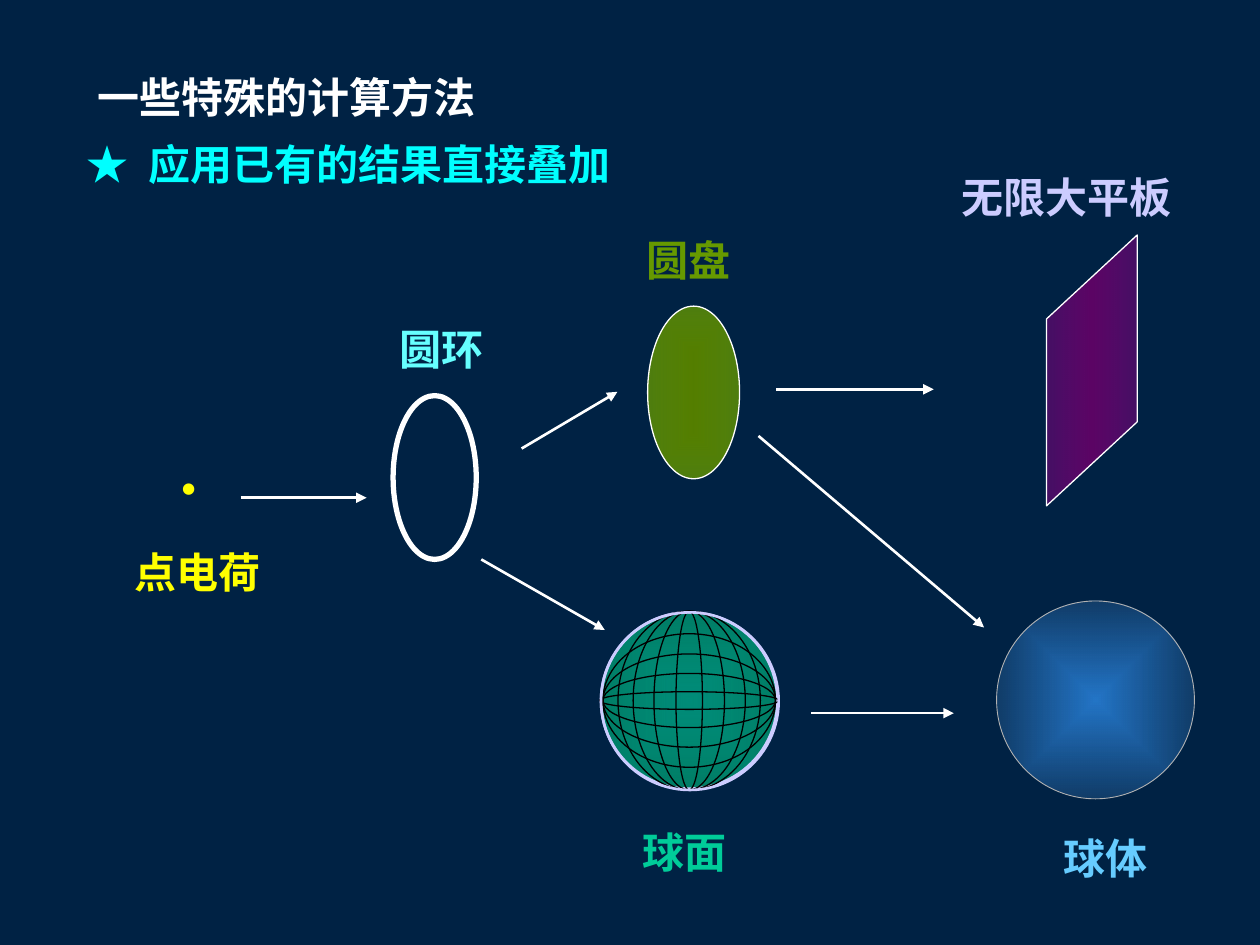
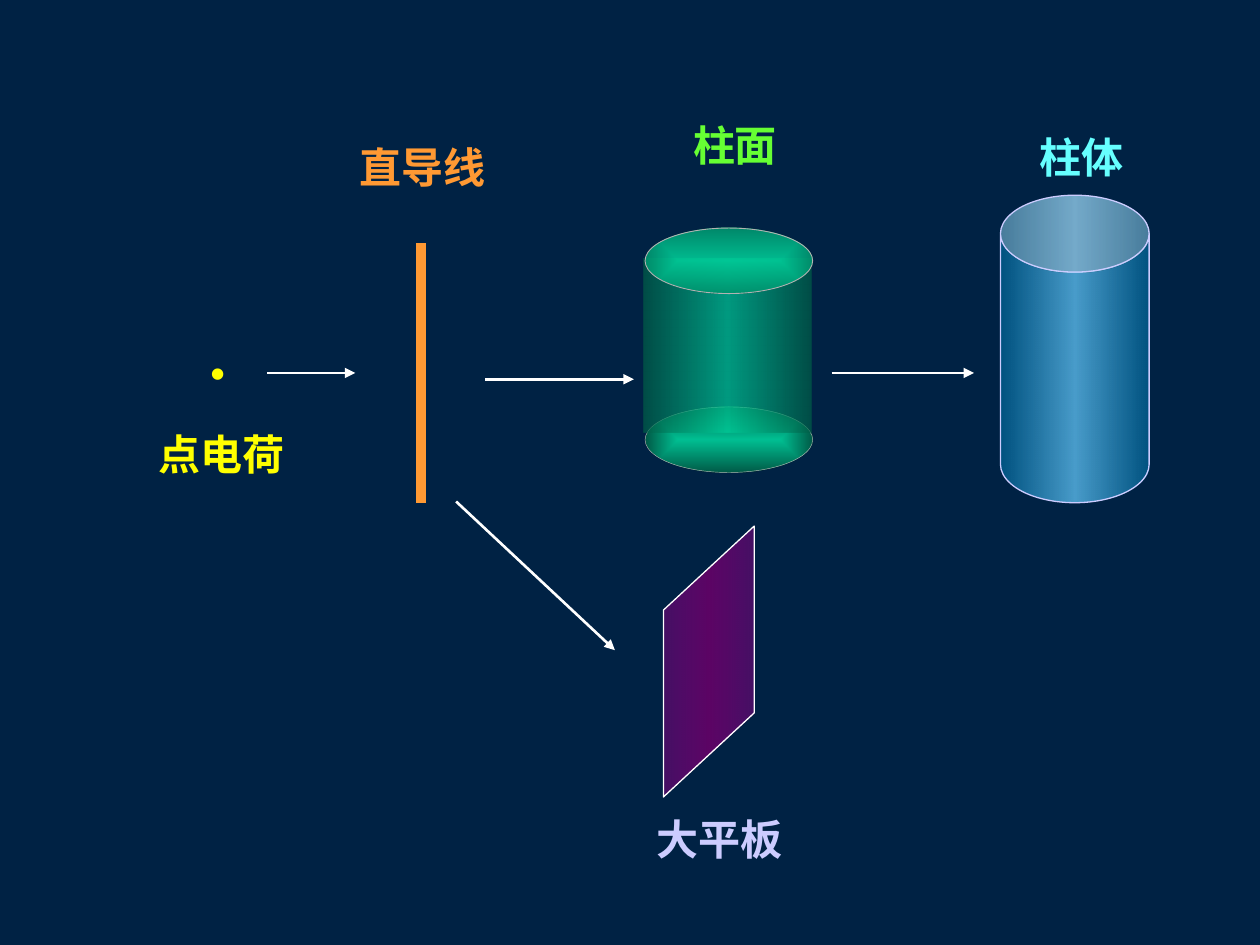
from pptx import Presentation
from pptx.dml.color import RGBColor
from pptx.enum.shapes import MSO_CONNECTOR, MSO_SHAPE
from pptx.enum.text import MSO_ANCHOR, PP_ALIGN
from pptx.oxml import parse_xml
from pptx.oxml.ns import nsdecls, qn
from pptx.util import Inches, Pt

ELLIPSE = MSO_SHAPE.OVAL
RECTANGLE = MSO_SHAPE.RECTANGLE
PARALLELOGRAM = MSO_SHAPE.PARALLELOGRAM
CAN = MSO_SHAPE.CAN
STRAIGHT = MSO_CONNECTOR.STRAIGHT
TOP = MSO_ANCHOR.TOP
LEFT = PP_ALIGN.LEFT

NAVY = RGBColor(0x00, 0x22, 0x44)
WHITE = RGBColor(0xFF, 0xFF, 0xFF)
BLACK = RGBColor(0x00, 0x00, 0x00)
GRAY = RGBColor(0xB2, 0xB2, 0xB2)
YELLOW = RGBColor(0xFF, 0xFF, 0x00)
ORANGE = RGBColor(0xFF, 0x99, 0x33)
CYAN = RGBColor(0x00, 0xFF, 0xFF)
PALE_CYAN = RGBColor(0x66, 0xFF, 0xFF)
SKY = RGBColor(0x66, 0xCC, 0xFF)
LAVENDER = RGBColor(0xCC, 0xCC, 0xFF)
LIME = RGBColor(0x66, 0xFF, 0x33)
OLIVE = RGBColor(0x66, 0x99, 0x00)
DARK_OLIVE = RGBColor(0x55, 0x7F, 0x00)
GREEN = RGBColor(0x00, 0xCC, 0x99)
MID_GREEN = RGBColor(0x00, 0x92, 0x6D)
DEEP_GREEN = RGBColor(0x00, 0x5E, 0x47)
BLUE = RGBColor(0x33, 0x99, 0xFF)
DEEP_BLUE = RGBColor(0x18, 0x47, 0x76)
STEEL = RGBColor(0x00, 0x66, 0x99)
PLUM = RGBColor(0x6A, 0x00, 0x6A)
PURPLE = RGBColor(0x80, 0x00, 0x80)

FONT = "Times New Roman"
TEXT_SIZE = Pt(24)
LINE_HEIGHT = 0.4
CHARACTER_WIDTH = 0.34

RADIAL = ('<a:path path="shape"><a:fillToRect l="50000" t="50000" '
          'r="50000" b="50000"/></a:path>')
ACROSS = '<a:lin ang="0" scaled="0"/>'


def add_figure(shapes, preset, box, line=None, width=0, stops=(), blend=RADIAL):
    figure = shapes.add_shape(preset, *map(Inches, box))
    figure.shadow.inherit = False
    figure.fill.background()
    if stops:
        stop_xml = "".join(
            f'<a:gs pos="{position * 1000}"><a:srgbClr val="{color}">'
            f'<a:alpha val="{opacity * 1000}"/></a:srgbClr></a:gs>'
            for position, color, opacity in stops)
        properties = figure._element.spPr
        properties.replace(properties.find(qn("a:noFill")), parse_xml(
            f'<a:gradFill {nsdecls("a")} rotWithShape="1">'
            f'<a:gsLst>{stop_xml}</a:gsLst>{blend}</a:gradFill>'))
    if line is None:
        figure.line.fill.background()
    else:
        figure.line.color.rgb = line
        figure.line.width = Pt(width)
    return figure


def fill_label(label, text, left, top, color):
    label.left, label.top = Inches(left), Inches(top)
    label.width = Inches(CHARACTER_WIDTH * len(text) + 0.1)
    label.height = Inches(LINE_HEIGHT)
    frame = label.text_frame
    frame.text = text
    frame.word_wrap = True
    frame.vertical_anchor = TOP
    frame.margin_left = frame.margin_right = 0
    frame.margin_top = frame.margin_bottom = 0
    paragraph = frame.paragraphs[0]
    paragraph.alignment = LEFT
    font = paragraph.runs[0].font
    font.name = FONT
    font.size = TEXT_SIZE
    font.bold = True
    font.color.rgb = color
    return paragraph


prs = Presentation()
prs.slide_width = Inches(10)
prs.slide_height = Inches(7.5)
background = prs.slide_master.background.fill
background.solid()
background.fore_color.rgb = NAVY

round_bodies = prs.slides.add_slide(prs.slide_layouts[5])
long_bodies = prs.slides.add_slide(prs.slide_layouts[6])

fill_label(round_bodies.shapes.title, "一些特殊的计算方法", 0.77, 0.57, WHITE)
method = fill_label(round_bodies.shapes.add_textbox(0, 0, 0, 0),
                    "★\t应用已有的结果直接叠加", 0.69, 1.1, CYAN)
method._p.get_or_add_pPr().append(parse_xml(
    f'<a:tabLst {nsdecls("a")}><a:tab pos="{Inches(0.49)}" algn="l"/></a:tabLst>'))

steps = [
    (round_bodies, (1.91, 3.95), (2.91, 3.95)),
    (round_bodies, (4.14, 3.56), (4.9, 3.11)),
    (round_bodies, (3.82, 4.44), (4.8, 5)),
    (round_bodies, (6.44, 5.66), (7.57, 5.66)),
    (round_bodies, (6.16, 3.09), (7.41, 3.09)),
    (round_bodies, (6.02, 3.46), (7.81, 4.98)),
    (long_bodies, (2.12, 2.96), (2.82, 2.96)),
    (long_bodies, (3.85, 3.01), (5.03, 3.01)),
    (long_bodies, (6.6, 2.96), (7.73, 2.96)),
    (long_bodies, (3.62, 3.98), (4.88, 5.16)),
]
wire = (long_bodies, (3.34, 1.93), (3.34, 3.99))
for segment in steps + [wire]:
    slide, start, end = segment
    connector = slide.shapes.add_connector(STRAIGHT, *map(Inches, start + end))
    is_wire = segment is wire
    connector.line.color.rgb = ORANGE if is_wire else WHITE
    connector.line.width = Pt(6 if is_wire else 1.5)
    if not is_wire:
        connector.line._get_or_add_ln().append(
            parse_xml(f'<a:tailEnd {nsdecls("a")} type="triangle"/>'))
    connector._element.spPr.append(parse_xml(f'<a:effectLst {nsdecls("a")}/>'))

add_figure(round_bodies.shapes, ELLIPSE, (3.12, 3.14, 0.66, 1.3), WHITE, 3)
add_figure(round_bodies.shapes, ELLIPSE, (5.14, 2.43, 0.73, 1.37), WHITE, 0.75,
           [(0, DARK_OLIVE, 100), (100, OLIVE, 77)])
add_figure(round_bodies.shapes, ELLIPSE, (7.91, 4.77, 1.57, 1.57), GRAY, 0.5,
           [(0, BLUE, 70), (100, DEEP_BLUE, 70)])

globe = round_bodies.shapes.add_group_shape().shapes
globe_x, globe_y = 5.47, 5.56
add_figure(globe, ELLIPSE, (4.77, 4.86, 1.4, 1.4), LAVENDER, 1.5,
           [(0, GREEN, 62), (100, MID_GREEN, 80)])
meridians = [(width, 1.42) for width in (0.21, 0.56, 0.89, 1.13)]
parallels = [(1.42, 0.14), (1.37, 0.43), (1.37, 0.74), (1.37, 1.06)]
for width, height in meridians + parallels:
    add_figure(globe, ELLIPSE,
               (globe_x - width / 2, globe_y - height / 2, width, height), BLACK, 0.75)
add_figure(globe, ELLIPSE, (4.77, 4.86, 1.41, 1.41), LAVENDER, 1.5)

for slide, left, top in [(round_bodies, 7.59, 2.58), (long_bodies, 4.55, 4.89)]:
    plate = add_figure(slide.shapes, PARALLELOGRAM, (left, top, 2.15, 0.72), WHITE, 0.75,
                       [(0, PLUM, 87), (100, PURPLE, 53)])
    plate.adjustments[0] = 0.926
    plate.rotation = 270
    plate._element.spPr.find(qn("a:xfrm")).set("flipH", "1")

cylinder = add_figure(long_bodies.shapes, CAN, (7.94, 1.55, 1.18, 2.44), LAVENDER, 0.75,
                      [(0, STEEL, 70), (50, SKY, 72), (100, STEEL, 70)], ACROSS)
cylinder.adjustments[0] = 0.517
add_figure(long_bodies.shapes, ELLIPSE, (5.12, 3.23, 1.33, 0.52), GRAY, 0.25,
           [(0, GREEN, 93), (100, DEEP_GREEN, 93)])
add_figure(long_bodies.shapes, RECTANGLE, (5.11, 2.05, 1.33, 1.38),
           stops=[(0, DEEP_GREEN, 70), (50, GREEN, 70), (100, DEEP_GREEN, 70)],
           blend=ACROSS)
add_figure(long_bodies.shapes, ELLIPSE, (5.12, 1.81, 1.33, 0.52), GRAY, 0.5,
           [(0, GREEN, 90), (100, MID_GREEN, 90)])

labels = [
    (round_bodies, "•", 1.44, 3.66, YELLOW),
    (round_bodies, "点电荷", 1.07, 4.34, YELLOW),
    (round_bodies, "圆环", 3.17, 2.57, PALE_CYAN),
    (round_bodies, "圆盘", 5.13, 1.86, OLIVE),
    (round_bodies, "无限大平板", 7.63, 1.36, LAVENDER),
    (round_bodies, "球面", 5.1, 6.56, GREEN),
    (round_bodies, "球体", 8.44, 6.61, SKY),
    (long_bodies, "•", 1.67, 2.75, YELLOW),
    (long_bodies, "点电荷", 1.26, 3.4, YELLOW),
    (long_bodies, "直导线", 2.85, 1.12, ORANGE),
    (long_bodies, "柱面", 5.5, 0.95, LIME),
    (long_bodies, "柱体", 8.25, 1.04, PALE_CYAN),
    (long_bodies, "大平板", 5.21, 6.46, LAVENDER),
]
for slide, text, left, top, color in labels:
    fill_label(slide.shapes.add_textbox(0, 0, 0, 0), text, left, top, color)

prs.save("out.pptx")
